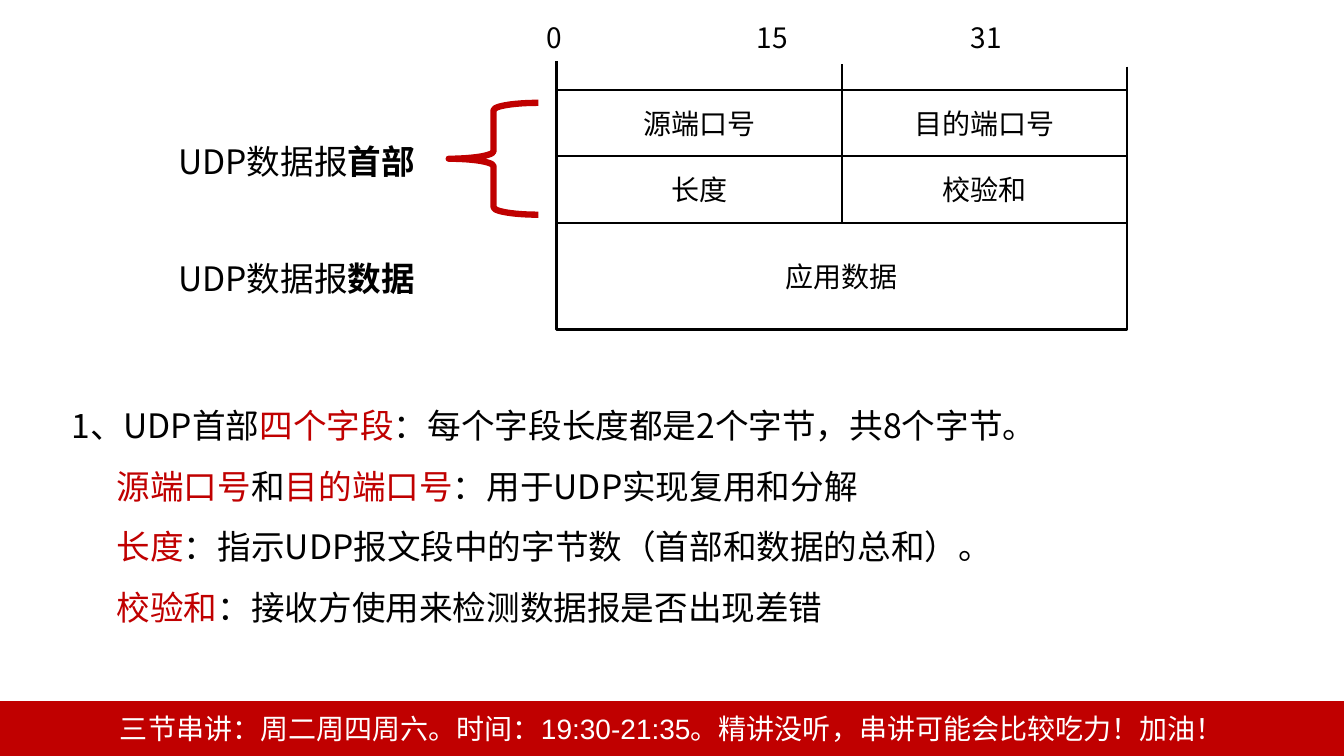
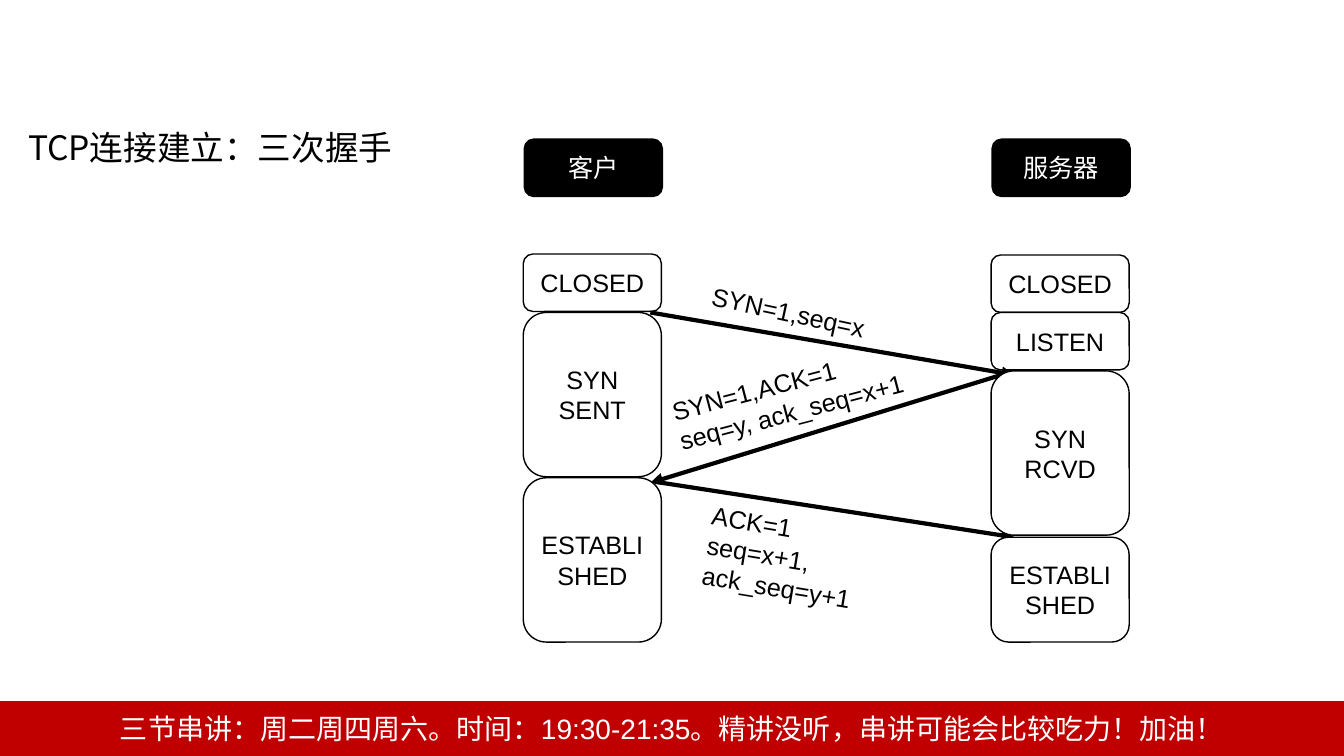
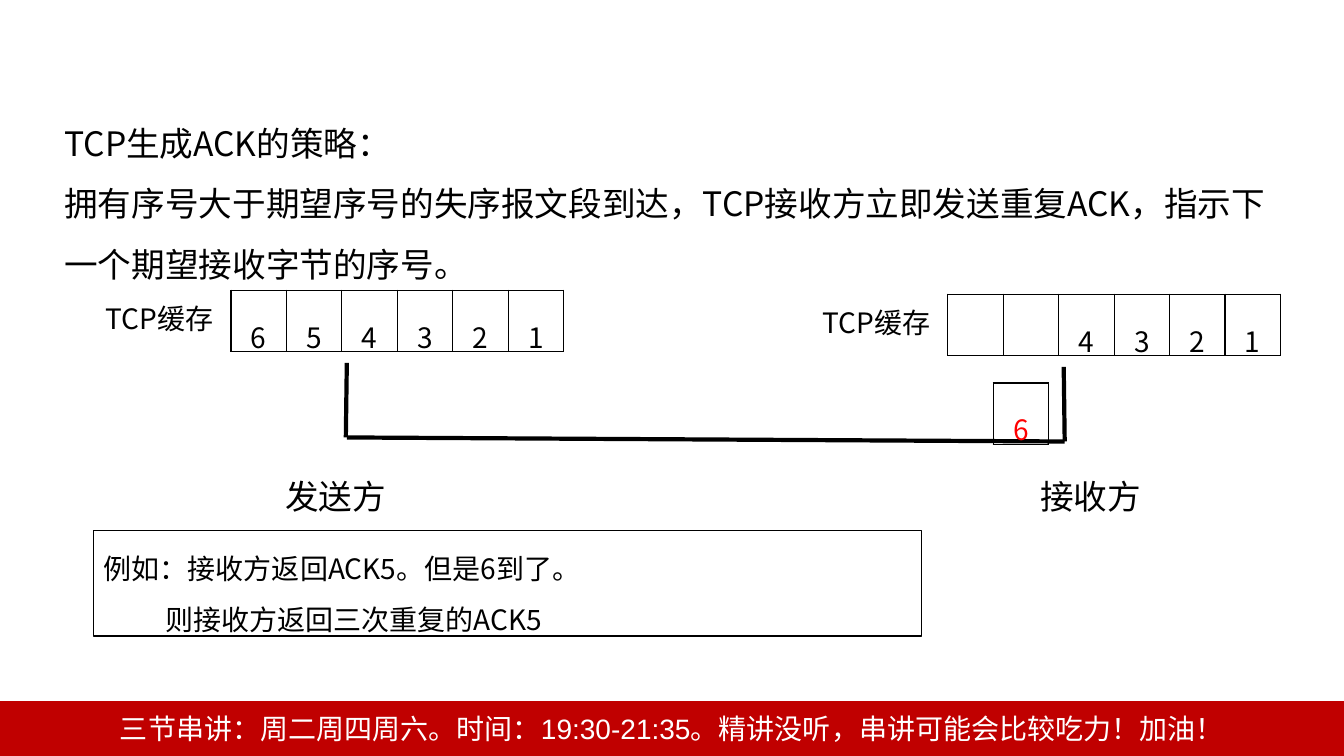
from lxml import etree
from pptx import Presentation
from pptx.dml.color import RGBColor
from pptx.enum import shapes, text
from pptx.oxml import ns
from pptx.util import Inches, Pt

BLACK = RGBColor(0, 0, 0)
WHITE = RGBColor(255, 255, 255)
DEEP = RGBColor(0xC0, 0, 0)
RED = RGBColor(255, 0, 0)
SANS, ARIAL = "Noto Sans CJK SC", "Arial"
RECT = shapes.MSO_SHAPE.RECTANGLE
ROUND = shapes.MSO_SHAPE.ROUNDED_RECTANGLE
BRACE = shapes.MSO_SHAPE.LEFT_BRACE
LEFT, MID = text.PP_ALIGN.LEFT, text.PP_ALIGN.CENTER

FOOTER = "三节串讲：周二周四周六。时间：19:30-21:35。精讲没听，串讲可能会比较吃力！加油！"

FIELDS = [["源端口号", "目的端口号"], ["长度", "校验和"]]
SCALE = [("0", 5.5), ("15", 7.66), ("31", 9.78)]
TICKS = [0.61, 0.64, 0.66]
PARTS = [("首部", 1.15), ("数据", 2.31)]
HEAD = [["1、UDP首部", ("四个字段", DEEP), "：每个字段长度都是2个字节，共8个字节。"]]
NOTES = [
    [("源端口号", DEEP), "和", ("目的端口号", DEEP), "：用于UDP实现复用和分解"],
    [("长度", DEEP), "：指示UDP报文段中的字节数（首部和数据的总和）。"],
    [("校验和", DEEP), "：接收方使用来检测数据报是否出现差错"],
]

CLIENT, SERVER = 5.19, 9.83
ROLES = [("客户", CLIENT), ("服务器", SERVER)]
START = [("CLOSED", CLIENT, 2.52, 0.57), ("CLOSED", SERVER, 2.53, 0.57),
         ("LISTEN", SERVER, 3.1, 0.57)]
STATES = [("SYN SENT", CLIENT, 3.1, 1.63), ("ESTABLISHED", CLIENT, 4.74, 1.63),
          ("SYN RCVD", SERVER, 3.68, 1.63), ("ESTABLISHED", SERVER, 5.33, 1.04)]
ARROWS = [(6.45, 3.1, 10.06, 3.72), (10.06, 3.68, 6.45, 4.79), (6.5, 4.78, 10.06, 5.33)]
SIGNALS = [
    (["SYN=1,seq=x"], (6.95, 2.91, 1.87, 0.4), 12.2),
    (["SYN=1,ACK=1", "seq=y, ack_seq=x+1"], (6.57, 3.56, 2.72, 0.71), -14.7),
    (["ACK=1", "seq=x+1, ack_seq=y+1"], (6.9, 5.11, 2.72, 1.01), 9.4),
]

RULE = ["TCP生成ACK的策略：",
        "拥有序号大于期望序号的失序报文段到达，TCP接收方立即发送重复ACK，指示下一个期望接收字节的序号。"]
BUFFERS = [(["6", "5", "4", "3", "2", "1"], 2.29, 2.88),
           (["", "", "4", "3", "2", "1"], 9.4, 2.92)]
SIDES = [("发送方", 2.73), ("接收方", 10.22)]
PIPE = [(3.44, 3.6, 3.43, 4.34), (10.56, 4.38, 10.55, 3.64), (3.44, 4.34, 10.56, 4.38)]
CASE = ["例如：接收方返回ACK5。但是6到了。", "则接收方返回三次重复的ACK5"]


def box(*at):
    return [Inches(n) for n in at]


def write(frame, paras, size, face=SANS, color=BLACK, align=LEFT, space=None, indents=()):
    frame.word_wrap = True
    for i, parts in enumerate(paras):
        para = frame.paragraphs[0] if i == 0 else frame.add_paragraph()
        para.alignment = align
        if space:
            para.line_spacing = space
        if i < len(indents):
            para._p.get_or_add_pPr().set("marL", str(Inches(indents[i])))
        font = para.font
        font.size, font.name = Pt(size), face
        font.color.rgb = color
        etree.SubElement(font._element, ns.qn("a:ea")).set("typeface", SANS)
        for part in [parts] if isinstance(parts, str) else parts:
            run = para.add_run()
            if isinstance(part, str):
                run.text = part
                continue
            run.text, style = part
            if style == "bold":
                run.font.bold = True
            else:
                run.font.color.rgb = style


def label(slide, at, paras, size, turn=0, **style):
    item = slide.shapes.add_textbox(*box(*at))
    item.rotation = turn
    write(item.text_frame, paras, size, **style)


def block(slide, kind, at, fill=None, line=BLACK, width=1):
    item = slide.shapes.add_shape(kind, *box(*at))
    item.shadow.inherit = False
    if fill is None:
        item.fill.background()
    else:
        item.fill.solid()
        item.fill.fore_color.rgb = fill
    item.line.color.rgb = line
    item.line.width = Pt(width)
    item.text_frame.vertical_anchor = text.MSO_ANCHOR.MIDDLE
    return item


def stroke(slide, ends, width, arrow=False):
    item = slide.shapes.add_connector(shapes.MSO_CONNECTOR.STRAIGHT, *box(*ends))
    item.line.color.rgb = BLACK
    item.line.width = Pt(width)
    if arrow:
        etree.SubElement(item.line._get_or_add_ln(), ns.qn("a:tailEnd")).set("type", "triangle")
    etree.SubElement(item._element.spPr, ns.qn("a:effectLst"))


def edge(cell):
    props = cell._tc.get_or_add_tcPr()
    for i, side in enumerate(("lnL", "lnR", "lnT", "lnB")):
        line = etree.Element(ns.qn("a:" + side), w=str(Pt(1)))
        fill = etree.SubElement(line, ns.qn("a:solidFill"))
        etree.SubElement(fill, ns.qn("a:srgbClr")).set("val", str(BLACK))
        props.insert(i, line)


def queue(slide, items, left, top, color=BLACK):
    grid = slide.shapes.add_table(1, len(items), *box(left, top, 0.55 * len(items), 0.61)).table
    grid.first_row = grid.horz_banding = False
    for i, item in enumerate(items):
        grid.columns[i].width = Inches(0.55)
        cell = grid.cell(0, i)
        cell.fill.background()
        edge(cell)
        if item:
            write(cell.text_frame, [item], 20, color=color, align=MID, space=1.5)


def page(deck):
    slide = deck.slides.add_slide(deck.slide_layouts[6])
    band = block(slide, RECT, (0, 6.96, 13.33, 0.54), DEEP, DEEP)
    write(band.text_frame, [FOOTER], 20, ARIAL, WHITE, MID)
    return slide


def udp(slide):
    left, top, wide, high = 5.52, 0.89, 2.83, 0.66
    cells = [(name, (left + c * wide, top + r * high, wide, high))
             for r, row in enumerate(FIELDS) for c, name in enumerate(row)]
    cells.append(("应用数据", (left, top + 2 * high, 2 * wide, 1.06)))
    for name, at in cells:
        item = block(slide, RECT, at, width=1.5)
        write(item.text_frame, [name], 20, align=MID)
    for i, y in enumerate(TICKS):
        x = left + i * wide
        stroke(slide, (x, y, x, y + 0.36), 1.5)
    for mark, x in SCALE:
        label(slide, (x - 0.3, 0.15, 0.6, 0.44), [mark], 20, align=MID)
    block(slide, BRACE, (4.45, 1.02, 0.89, 1.11), line=DEEP, width=4.5)
    for part, y in PARTS:
        label(slide, (1.67, y, 2.8, 0.71), [["UDP数据报", (part, "bold")]], 24, space=1.5)
    label(slide, (0.61, 3.77, 10.88, 2.45), HEAD + NOTES, 24, space=1.5,
          indents=[0] + [0.45] * len(NOTES))


def state(slide, name, x, y, high, fill=WHITE, color=BLACK):
    item = block(slide, ROUND, (x, y, 1.37, high), fill)
    write(item.text_frame, [name], 18, ARIAL, color, MID)


def shake(slide):
    label(slide, (0.18, 1.01, 4.04, 0.71), ["TCP连接建立：三次握手"], 24, space=1.5)
    for name, x in ROLES:
        state(slide, name, x + 0.01, 1.38, 0.57, BLACK, WHITE)
    for item in START:
        state(slide, *item)
    for ends in ARROWS:
        stroke(slide, ends, 3, arrow=True)
    for item in STATES:
        state(slide, *item)
    for paras, at, turn in SIGNALS:
        label(slide, at, paras, 18, turn, face=ARIAL)


def ack(slide):
    label(slide, (0.54, 0.97, 12.16, 1.92), RULE, 24, space=1.5)
    for items, x, y in BUFFERS:
        queue(slide, items, x, y)
        label(slide, (x - 1.34, y + 0.06, 1.33, 0.44), ["TCP缓存"], 20)
    for name, x in SIDES:
        label(slide, (x, 4.67, 1.38, 0.5), [name], 24)
    for ends in PIPE:
        stroke(slide, ends, 3)
    queue(slide, ["6"], 9.85, 3.8, RED)
    item = block(slide, RECT, (0.93, 5.26, 8.21, 1.05), width=0.75)
    item.text_frame.vertical_anchor = text.MSO_ANCHOR.TOP
    write(item.text_frame, CASE, 20, space=1.5, indents=(0, 0.61))


def main():
    deck = Presentation()
    deck.slide_width, deck.slide_height = box(13.33, 7.5)
    for draw in (udp, shake, ack):
        draw(page(deck))
    deck.save("out.pptx")


if __name__ == "__main__":
    main()
